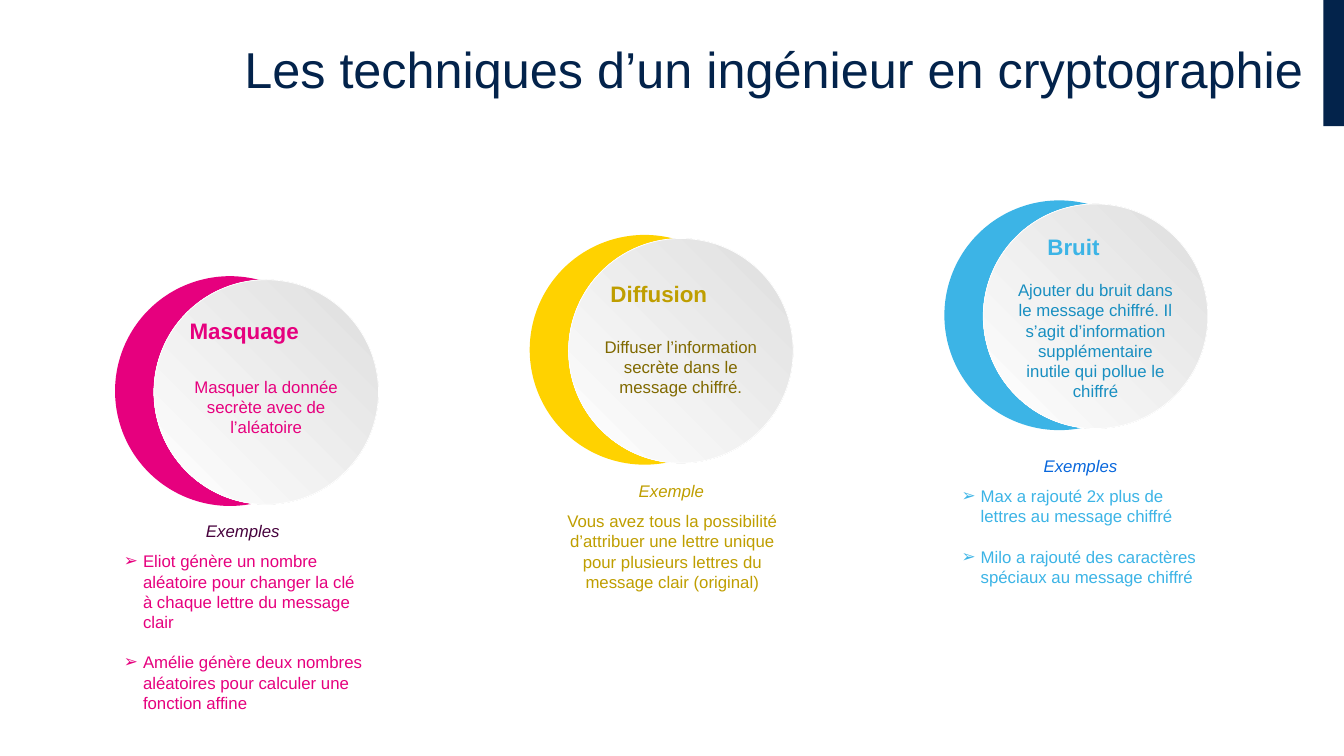
import pptx
import pptx.util
import pptx.dml.color
import pptx.enum.shapes
import pptx.enum.text
import lxml.etree

Cm = pptx.util.Cm
Pt = pptx.util.Pt
Align = pptx.enum.text.PP_ALIGN
Shape = pptx.enum.shapes.MSO_SHAPE

NAVY = "03234B"
TITLE = "Les techniques d’un ingénieur en cryptographie"
CARDS = [
    {
        "name": "Masquage", "main": "E6007E", "ink": "E6007E",
        "head": "E6007E", "note": "46003C", "list": "E6007E",
        "text": "Masquer la donnée secrète avec de l’aléatoire",
        "label": "Exemples", "bullet": True,
        "items": [
            "Eliot génère un nombre aléatoire pour changer la clé à chaque lettre du message clair",
            "Amélie génère deux nombres aléatoires pour calculer une fonction affine",
        ],
        "top": 6.96, "head_y": 7.87, "text_y": 9.37, "note_x": 2.87, "note_y": 13.0,
        "text_h": 1.8, "list_h": 4.37,
    },
    {
        "name": "Diffusion", "main": "FFD200", "ink": "806900",
        "head": "BF9E00", "note": "BF9E00", "list": "BF9E00",
        "text": "Diffuser l’information secrète dans le message chiffré.",
        "label": "Exemple", "bullet": False,
        "items": [
            "Vous avez tous la possibilité d’attribuer une lettre unique pour plusieurs lettres du message clair (original)",
        ],
        "top": 5.92, "head_y": 6.93, "text_y": 8.36, "note_x": 13.67, "note_y": 11.99,
        "text_h": 1.8, "list_h": 2.31,
    },
    {
        "name": "Bruit", "main": "3CB4E6", "ink": "198FC1",
        "head": "3CB4E6", "note": "0967DC", "list": "3CB4E6",
        "text": "Ajouter du bruit dans le message chiffré. Il s’agit d’information supplémentaire inutile qui pollue le chiffré",
        "label": "Exemples", "bullet": True,
        "items": [
            "Max a rajouté 2x plus de lettres au message chiffré",
            "Milo a rajouté des caractères spéciaux au message chiffré",
        ],
        "top": 5.05, "head_y": 5.74, "text_y": 6.93, "note_x": 23.98, "note_y": 11.35,
        "text_h": 3.33, "list_h": 2.82,
    },
]
LEFT, STEP = 2.9, 10.45
MOON, DISC = 5.79, 5.66
LINE = 0.76


def tint(code):
    return pptx.dml.color.RGBColor.from_string(code)


def place(item, x, y, w, h):
    item.left, item.top, item.width, item.height = Cm(x), Cm(y), Cm(w), Cm(h)


def style(para, size, code, align=Align.CENTER, bold=False, slant=False):
    para.alignment = align
    font = para.font
    font.name, font.size = "Arial", Pt(size)
    font.bold, font.italic = bold, slant
    font.color.rgb = tint(code)


def plain(shape, code):
    shape.shadow.inherit = False
    shape.fill.solid()
    shape.fill.fore_color.rgb = tint(code)
    shape.line.fill.background()


def write(slide, text, x, y, w, h, size, code, **look):
    box = slide.shapes.add_textbox(Cm(x), Cm(y), Cm(w), Cm(h))
    box.text_frame.word_wrap = True
    para = box.text_frame.paragraphs[0]
    para.text = text
    style(para, size, code, **look)


def arrow(para):
    props = para._p.get_or_add_pPr()
    props.set("marL", str(Cm(0.48)))
    props.set("indent", str(-Cm(0.48)))
    space = "{http://schemas.openxmlformats.org/drawingml/2006/main}"
    lxml.etree.SubElement(props, space + "buFont", typeface="Arial")
    lxml.etree.SubElement(props, space + "buChar", char="➢")


def draw(slide, card, x):
    y = card["top"]
    moon = slide.shapes.add_shape(Shape.OVAL, Cm(x), Cm(y), Cm(MOON), Cm(MOON))
    plain(moon, card["main"])
    disc = slide.shapes.add_shape(Shape.OVAL, Cm(x + 0.98), Cm(y + 0.09), Cm(DISC), Cm(DISC))
    disc.shadow.inherit = False
    disc.fill.gradient()
    disc.fill.gradient_angle = 225
    for stop, code in zip(disc.fill.gradient_stops, ("DEDEDE", "FFFFFF")):
        stop.color.rgb = tint(code)
    disc.line.color.rgb = tint("FFFFFF")
    disc.line.width = Pt(0.5)
    write(slide, card["name"], x + 1.45, card["head_y"], 3.61, 0.94, 16, card["head"], bold=True)
    write(slide, card["text"], x + 1.6, card["text_y"], 4.42, card["text_h"], 12, card["ink"])
    write(slide, card["label"], card["note_x"], card["note_y"], 6.5, LINE, 12, card["note"], slant=True)


def fill_list(holder, card):
    place(holder, card["note_x"], card["note_y"] + LINE, 6.55, card["list_h"])
    frame = holder.text_frame
    frame.auto_size = pptx.enum.text.MSO_AUTO_SIZE.NONE
    for rank, item in enumerate(card["items"]):
        para = frame.add_paragraph() if rank else frame.paragraphs[0]
        para.text = item
        para.space_before = Pt(14.5 if rank else 0)
        arrow(para)
        style(para, 12, card["list"], Align.LEFT)


def main():
    deck = pptx.Presentation()
    deck.slide_width, deck.slide_height = Cm(33.87), Cm(19.05)
    slide = deck.slides.add_slide(deck.slide_layouts[3])
    plain(slide.shapes.add_shape(Shape.RECTANGLE, Cm(33.35), 0, Cm(0.52), Cm(3.18)), NAVY)

    title = slide.shapes.title
    place(title, 0.84, 0, 32.26, 3.63)
    title.text_frame.text = TITLE
    title.text_frame.auto_size = pptx.enum.text.MSO_AUTO_SIZE.NONE
    title.text_frame.paragraphs[0].line_spacing = 0.9
    style(title.text_frame.paragraphs[0], 36, NAVY, Align.RIGHT)

    holders = iter([slide.placeholders[1], slide.placeholders[2]])
    for rank, card in enumerate(CARDS):
        draw(slide, card, LEFT + rank * STEP)
        if card["bullet"]:
            fill_list(next(holders), card)
        else:
            write(slide, card["items"][0], card["note_x"], card["note_y"] + LINE,
                  6.55, card["list_h"], 12, card["list"])
    deck.save("out.pptx")


if __name__ == "__main__":
    main()
